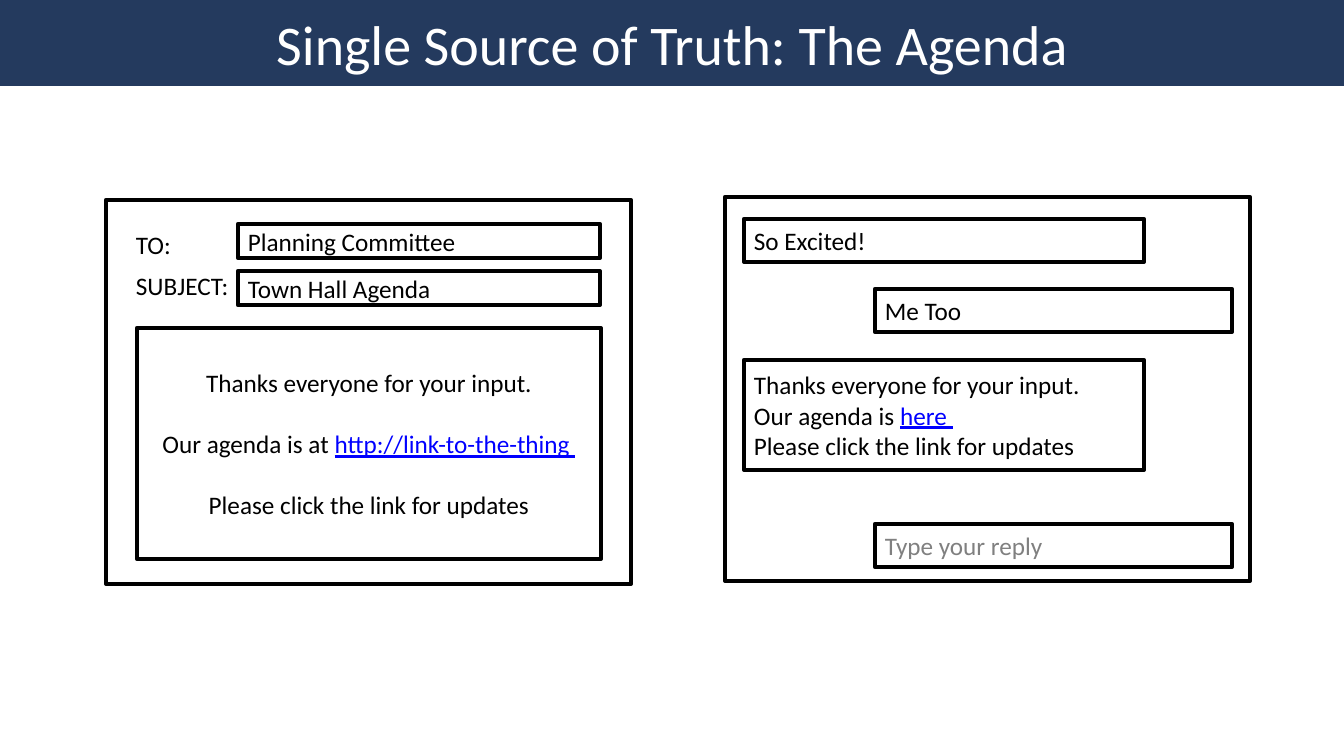
from pptx import Presentation
from pptx.dml.color import RGBColor
from pptx.enum.shapes import MSO_SHAPE
from pptx.enum.text import MSO_ANCHOR, MSO_AUTO_SIZE, PP_ALIGN
from pptx.util import Pt

TITLE = "Single Source of Truth: The Agenda"
THANKS = [("Thanks everyone for your input.", "black")]
UPDATES = [("Please click the link for updates", "black")]
FIELDS = [("TO:", "Planning Committee"), ("SUBJECT:", "Town Hall Agenda")]
MAIL_BODY = [
    THANKS,
    [("Our agenda is at ", "black"), ("http://link-to-the-thing ", "link")],
    UPDATES,
]
CHAT = [
    ("left", 219, 43, [[("So Excited!", "black")]]),
    ("right", 289, 43, [[("Me Too", "black")]]),
    ("left", 360, 110, [THANKS, [("Our agenda is ", "black"), ("here ", "link")], UPDATES]),
    ("right", 524, 43, [[("Type your reply", "grey")]]),
]
SIDES = {"left": (744, 400), "right": (875, 357)}
COLORS = {"navy": "243A5E", "white": "FFFFFF", "black": "000000",
          "link": "0000FF", "grey": "808080"}
FONT = "Calibri"
PX = 914400 / 100.8


def emu(*lengths):
    return [round(n * PX) for n in lengths]


def color(name):
    return RGBColor.from_string(COLORS[name])


def write(tf, paragraphs, size=18, align=PP_ALIGN.LEFT, gap=0):
    for i, runs in enumerate(paragraphs):
        p = tf.add_paragraph() if i else tf.paragraphs[0]
        p.alignment = align
        if i and gap:
            p.space_before = Pt(gap)
        for text, ink in runs:
            r = p.add_run()
            r.text = text
            r.font.name = FONT
            r.font.size = Pt(size)
            r.font.color.rgb = color(ink)
            if ink == "link":
                r.font.underline = True


def add_box(shapes, box, paragraphs=(), **style):
    sp = shapes.add_shape(MSO_SHAPE.RECTANGLE, *emu(*box))
    sp.shadow.inherit = False
    sp.fill.solid()
    sp.fill.fore_color.rgb = color("white")
    sp.line.color.rgb = color("black")
    sp.line.width = Pt(3)
    sp.text_frame.vertical_anchor = MSO_ANCHOR.MIDDLE
    write(sp.text_frame, paragraphs, **style)


def add_label(shapes, box, text):
    tf = shapes.add_textbox(*emu(*box)).text_frame
    tf.word_wrap = False
    write(tf, [[(text, "black")]])


def add_title(s):
    title = s.shapes.title
    title.left, title.top, title.width, title.height = emu(0, 0, 1344, 86)
    title.fill.solid()
    title.fill.fore_color.rgb = color("navy")
    tf = title.text_frame
    tf.auto_size = MSO_AUTO_SIZE.NONE
    tf.vertical_anchor = MSO_ANCHOR.MIDDLE
    write(tf, [[(TITLE, "white")]], size=40, align=PP_ALIGN.CENTER)


def add_mail(shapes):
    add_box(shapes, (106, 200, 525, 384))
    for i, (label, value) in enumerate(FIELDS):
        add_box(shapes, (238, 224 + 47 * i, 362, 34), [[(value, "black")]])
        add_label(shapes, (126, 224 + 41 * i, 125, 40), label)
    add_box(shapes, (137, 328, 464, 231), MAIL_BODY, align=PP_ALIGN.CENTER, gap=22)


def add_chat(shapes):
    add_box(shapes, (725, 197, 525, 384))
    for side, top, height, message in CHAT:
        left, width = SIDES[side]
        add_box(shapes, (left, top, width, height), message)


def main():
    prs = Presentation()
    prs.slide_width, prs.slide_height = emu(1344, 756)
    s = prs.slides.add_slide(prs.slide_layouts[5])
    add_title(s)
    add_mail(s.shapes)
    add_chat(s.shapes.add_group_shape().shapes)
    prs.save("out.pptx")


if __name__ == "__main__":
    main()
